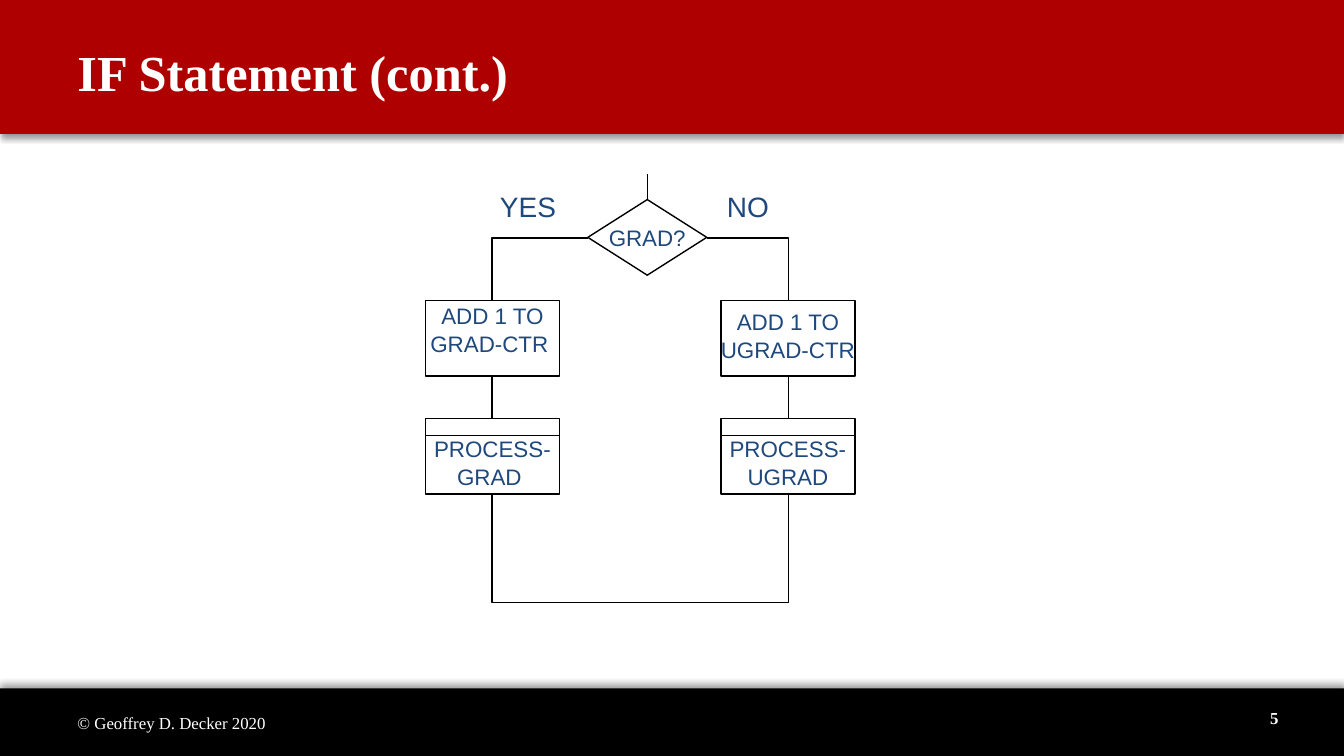
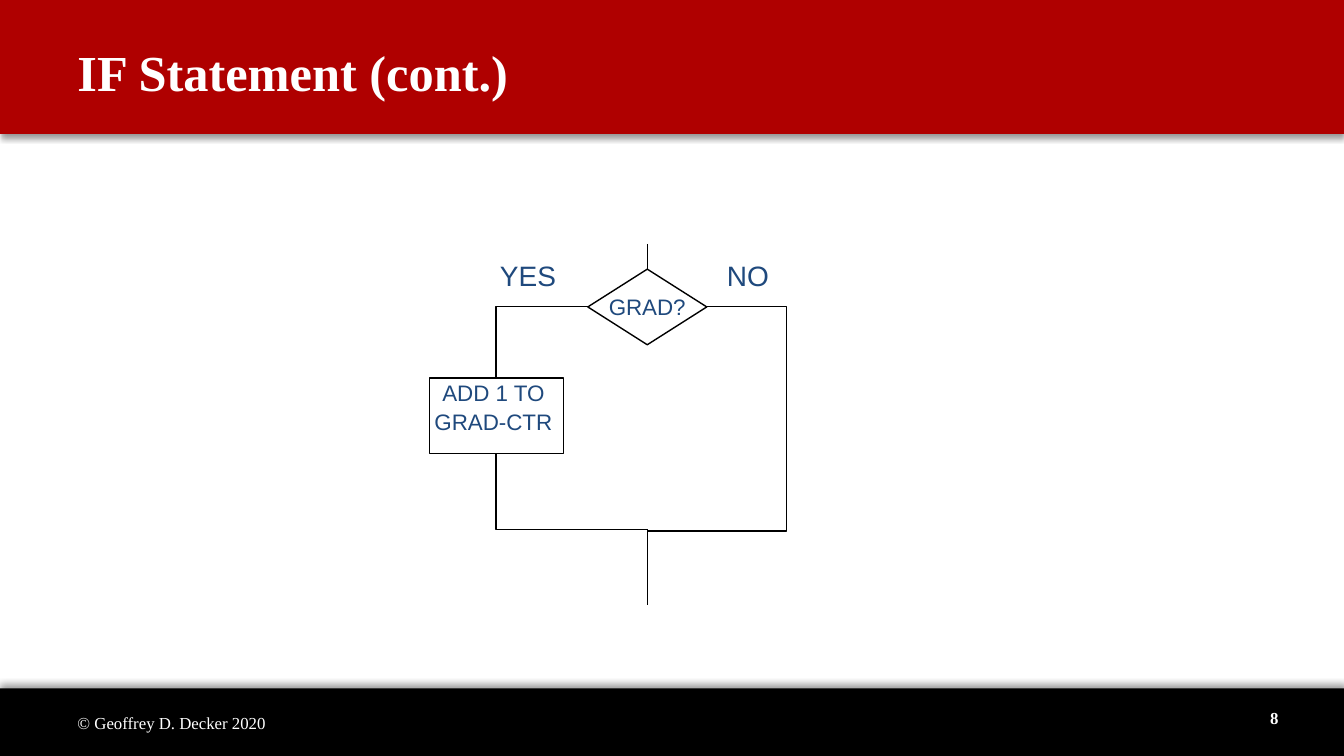
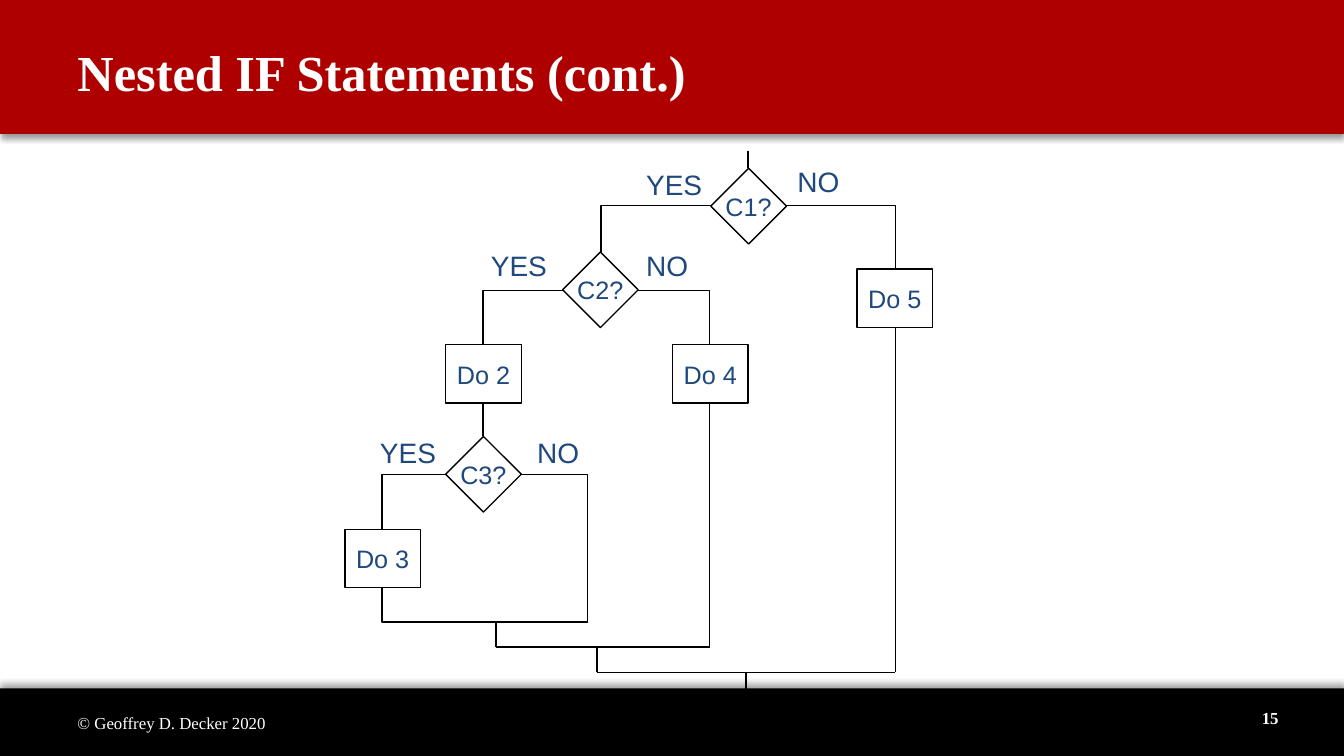
"""Build three flowchart slides about IF and nested IF statements."""
from lxml import etree
from pptx import Presentation
from pptx.dml.color import RGBColor
from pptx.enum.shapes import MSO_CONNECTOR, MSO_SHAPE
from pptx.enum.text import MSO_ANCHOR, PP_ALIGN
from pptx.oxml import parse_xml
from pptx.oxml.ns import nsdecls, qn
from pptx.util import Inches, Pt

RED = RGBColor(0xAF, 0x00, 0x00)
BLACK = RGBColor(0x00, 0x00, 0x00)
WHITE = RGBColor(0xFF, 0xFF, 0xFF)
NAVY = RGBColor(0x1F, 0x49, 0x7D)

DECISION = MSO_SHAPE.FLOWCHART_DECISION
PROCESS = MSO_SHAPE.FLOWCHART_PROCESS
DIAMOND = MSO_SHAPE.DIAMOND
RECTANGLE = MSO_SHAPE.RECTANGLE

BANDS = [(6.83, 0.67, BLACK, 270), (0, 1.33, RED, 90)]
FOOTER = "© Geoffrey D. Decker 2020"
LABEL_WIDTHS = {"YES": 0.76, "NO": 0.62}
NODE_SIZES = {
    DECISION: (1.18, 0.75, 16),
    PROCESS: (1.33, 0.75, 16),
    DIAMOND: (0.75, 0.75, 18),
    RECTANGLE: (0.75, 0.58, 18),
}

CHARTS = [
    {
        "title": "IF Statement (cont.)",
        "number": "5",
        "nodes": [
            (DECISION, 5.83, 1.98, "GRAD?", 0),
            (PROCESS, 4.22, 2.98, "ADD 1 TO\nGRAD-CTR ", -0.12),
            (PROCESS, 7.15, 2.98, "ADD 1 TO\nUGRAD-CTR", 0),
            (PROCESS, 4.22, 4.15, "PROCESS-\nGRAD ", 0.18),
            (PROCESS, 7.15, 4.15, "PROCESS-\nUGRAD", 0.18),
        ],
        "labels": [("YES", 4.86, 1.83), ("NO", 7.11, 1.83)],
        "routes": [
            ((6.42, 1.73), (6.42, 1.98)),
            ((5.83, 2.36), (4.88, 2.98)),
            ((7.01, 2.36), (7.82, 2.98)),
            ((4.88, 3.73), (4.88, 4.15)),
            ((7.82, 3.73), (7.82, 4.15)),
            ((4.22, 4.32), (5.55, 4.32)),
            ((7.15, 4.32), (8.48, 4.32)),
            ((6.42, 5.98), (4.88, 4.9)),
            ((6.42, 5.98), (7.82, 4.9)),
        ],
    },
    {
        "title": "IF Statement (cont.)",
        "number": "8",
        "nodes": [
            (DECISION, 5.83, 2.67, "GRAD?", 0),
            (PROCESS, 4.26, 3.75, "ADD 1 TO \nGRAD-CTR ", -0.12),
        ],
        "labels": [("YES", 4.86, 2.52), ("NO", 7.11, 2.52)],
        "routes": [
            ((6.42, 2.42), (6.42, 2.67)),
            ((5.83, 3.04), (4.92, 3.75)),
            ((7.01, 3.04), (7.8, 3.75)),
            ((7.8, 3.75), (7.8, 4.5)),
            ((6.42, 5.25), (4.92, 4.5)),
            ((6.42, 5.27), (7.8, 4.5)),
            ((6.42, 5.25), (6.42, 6)),
        ],
    },
    {
        "title": "Nested IF Statements (cont.)",
        "number": "15",
        "nodes": [
            (DIAMOND, 7.05, 1.67, "C1?", 0),
            (DIAMOND, 5.58, 2.5, "C2?", 0),
            (DIAMOND, 4.42, 4.33, "C3?", 0),
            (RECTANGLE, 4.42, 3.42, "Do 2", 0),
            (RECTANGLE, 3.42, 5.25, "Do 3", 0),
            (RECTANGLE, 6.67, 3.42, "Do 4", 0),
            (RECTANGLE, 8.5, 2.67, "Do 5", 0),
        ],
        "labels": [
            ("YES", 6.31, 1.61), ("NO", 7.81, 1.58),
            ("YES", 4.77, 2.42), ("NO", 6.31, 2.42),
            ("YES", 3.67, 4.27), ("NO", 5.23, 4.27),
        ],
        "routes": [
            ((7.42, 1.5), (7.42, 1.67)),
            ((7.05, 2.04), (5.96, 2.5)),
            ((7.8, 2.04), (8.88, 2.67)),
            ((5.58, 2.88), (4.79, 3.42)),
            ((6.33, 2.88), (7.04, 3.42)),
            ((4.79, 4), (4.79, 4.33)),
            ((4.42, 4.71), (3.79, 5.25)),
            ((5.17, 4.71), (5.83, 6.17)),
            ((5.83, 6.17), (3.79, 5.83)),
            ((7.04, 4), (7.04, 6.42)),
            ((7.04, 6.42), (4.92, 6.42)),
            ((4.92, 6.42), (4.92, 6.17)),
            ((5.92, 6.42), (5.92, 6.67)),
            ((8.88, 3.25), (8.88, 6.67)),
            ((5.92, 6.67), (8.88, 6.67)),
            ((7.4, 6.67), (7.4, 7.08)),
        ],
    },
]


def write_text(shape, text, font_name, size, color, bold=False,
               align=PP_ALIGN.LEFT, anchor=MSO_ANCHOR.MIDDLE, wrap=True):
    """Fill a shape with evenly styled paragraphs, one per line."""
    frame = shape.text_frame
    frame.word_wrap = wrap
    frame.vertical_anchor = anchor
    frame.text = text
    for paragraph in frame.paragraphs:
        paragraph.alignment = align
        paragraph.font.name = font_name
        paragraph.font.size = Pt(size)
        paragraph.font.bold = bold
        paragraph.font.color.rgb = color
    if len(frame.paragraphs) > 1:
        for paragraph in frame.paragraphs:
            paragraph.line_spacing = 0.8
            paragraph.space_before = Pt(5)


def add_route(shapes, start, end):
    """Draw a straight line, or an elbow that leaves start horizontally."""
    bent = start[0] != end[0] and start[1] != end[1]
    kind = MSO_CONNECTOR.ELBOW if bent else MSO_CONNECTOR.STRAIGHT
    connector = shapes.add_connector(kind, *map(Inches, start), *map(Inches, end))
    connector.line.color.rgb = BLACK
    connector.line.width = Pt(1)
    properties = connector._element.spPr
    etree.SubElement(properties, qn("a:effectLst"))
    if bent:
        properties.find(qn("a:prstGeom")).set("prst", "bentConnector2")
        if end[0] < start[0]:
            frame = properties.find(qn("a:xfrm"))
            frame.set("rot", str(180 * 60000))
            frame.set("flipH", "0")
            frame.set("flipV", "1" if end[1] > start[1] else "0")


presentation = Presentation()
presentation.slide_width = Inches(13.33)
presentation.slide_height = Inches(7.5)

for chart in CHARTS:
    slide = presentation.slides.add_slide(presentation.slide_layouts[6])
    shapes = slide.shapes

    for top, height, color, direction in BANDS:
        band = shapes.add_shape(RECTANGLE, 0, Inches(top), Inches(13.33), Inches(height))
        band.fill.solid()
        band.fill.fore_color.rgb = color
        band.line.fill.background()
        band._element.spPr.append(parse_xml(
            f'<a:effectLst {nsdecls("a")}>'
            f'<a:outerShdw blurRad="{Pt(4)}" dist="{Pt(3)}" dir="{direction * 60000}" rotWithShape="0">'
            '<a:srgbClr val="000000"><a:alpha val="40000"/></a:srgbClr>'
            '</a:outerShdw></a:effectLst>'))

    for text, left, top, width, height, size, bold, align in [
        (chart["title"], 0.67, 0.17, 11, 1.08, 36, True, PP_ALIGN.LEFT),
        (FOOTER, 0.67, 6.97, 4.22, 0.4, 12, False, PP_ALIGN.LEFT),
        (chart["number"], 10.78, 6.92, 2, 0.4, 12, True, PP_ALIGN.RIGHT),
    ]:
        box = shapes.add_textbox(Inches(left), Inches(top), Inches(width), Inches(height))
        write_text(box, text, "Times New Roman", size, WHITE, bold, align)

    for kind, left, top, text, shift in chart["nodes"]:
        width, height, size = NODE_SIZES[kind]
        node = shapes.add_shape(kind, Inches(left), Inches(top), Inches(width), Inches(height))
        node.shadow.inherit = False
        node.fill.background()
        node.line.color.rgb = BLACK
        node.line.width = Pt(1)
        write_text(node, text, "Arial", size, NAVY, align=PP_ALIGN.CENTER, wrap=False)
        node.text_frame.margin_top = Inches(0.05 + max(shift, 0))
        node.text_frame.margin_bottom = Inches(0.05 + max(-shift, 0))

    for text, left, top in chart["labels"]:
        label = shapes.add_textbox(
            Inches(left), Inches(top), Inches(LABEL_WIDTHS[text]), Inches(0.44))
        write_text(label, text, "Arial", 20, NAVY, anchor=MSO_ANCHOR.TOP)

    for start, end in chart["routes"]:
        add_route(shapes, start, end)

presentation.save("out.pptx")
